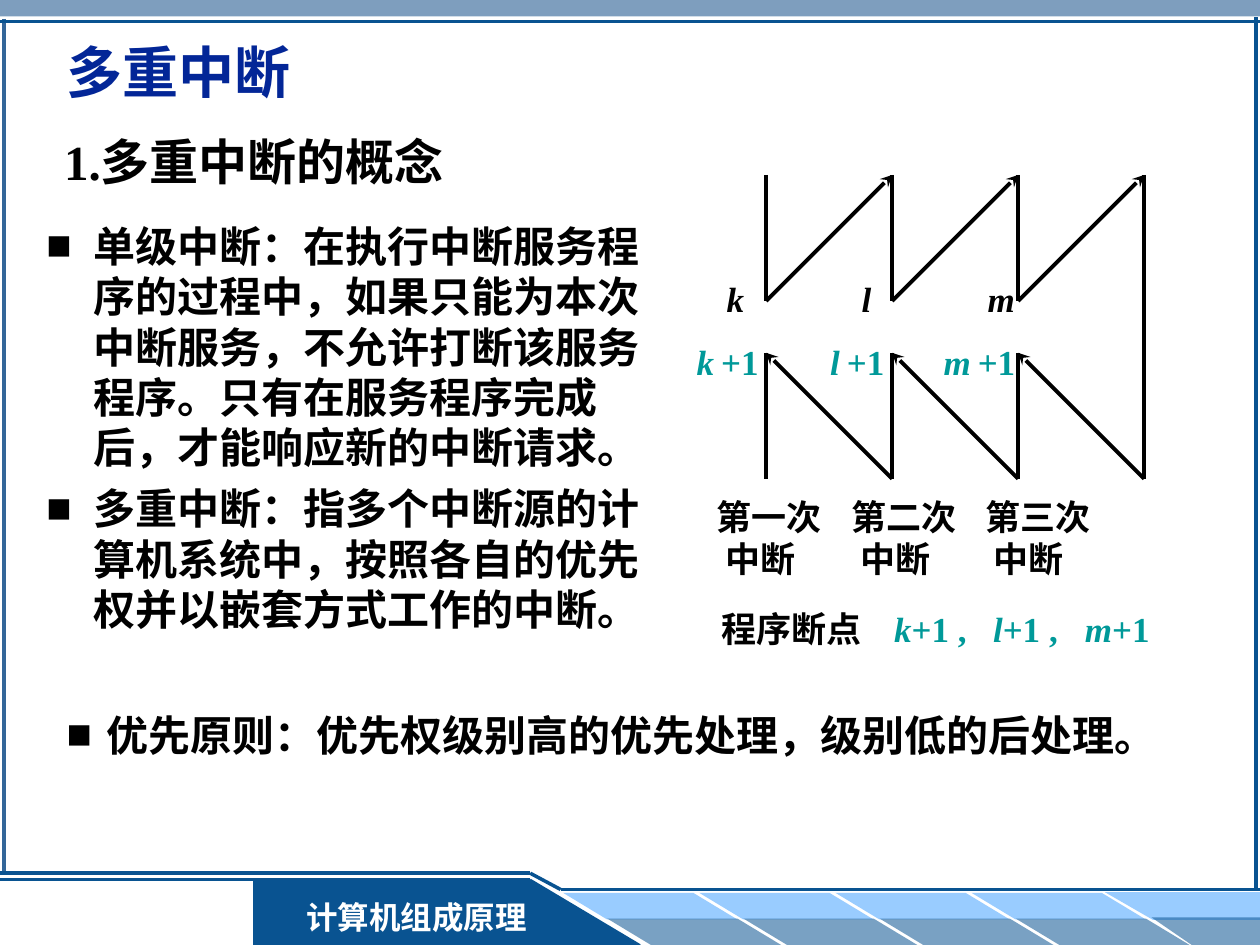
from lxml import etree
from pptx import Presentation
from pptx.dml.color import RGBColor
from pptx.enum.shapes import MSO_CONNECTOR, MSO_SHAPE
from pptx.enum.text import MSO_ANCHOR, PP_ALIGN
from pptx.oxml.ns import qn
from pptx.util import Pt

STRAIGHT, RECTANGLE = MSO_CONNECTOR.STRAIGHT, MSO_SHAPE.RECTANGLE
LEFT, CENTER = PP_ALIGN.LEFT, PP_ALIGN.CENTER
TOP, MIDDLE = MSO_ANCHOR.TOP, MSO_ANCHOR.MIDDLE
FONT = "Times New Roman"
COLORS = {"black": "000000", "white": "FFFFFF", "title": "032697", "teal": "009999",
          "navy": "095391", "steel": "336699", "sky": "99CCFF"}

# Content
TITLE = "多重中断"
HEADING = "1.多重中断的概念"
DEFINITIONS = [
    "单级中断：在执行中断服务程序的过程中，如果只能为本次中断服务，不允许打断该服务程序。"
    "只有在服务程序完成后，才能响应新的中断请求。",
    "多重中断：指多个中断源的计算机系统中，按照各自的优先权并以嵌套方式工作的中断。",
]
PRINCIPLE = "优先原则：优先权级别高的优先处理，级别低的后处理。"
FOOTER = "计算机组成原理"
BREAKPOINT_LABEL = "程序断点"
# letter, (left, width) of its label, (left, width) of its return label, caption left, caption
INTERRUPTS = [
    ("k", (408.2, 24.5), (391, 49.7), 402.5, "第一次"),
    ("l", (485.3, 19.4), (467.3, 45.4), 479.5, "第二次"),
    ("m", (557.3, 29.5), (532.1, 55.4), 555.8, "第三次"),
]
CAPTION_END = "中断"
BREAKPOINT_TABS = [98.5, 155, 207.5]

deck = Presentation()
deck.slide_width, deck.slide_height = Pt(720), Pt(540)
page = deck.slides.add_slide(deck.slide_layouts[5])


def rgb(name):
    return RGBColor.from_string(COLORS[name])


def paint(shape, color, opacity=None):
    shape.shadow.inherit = False
    shape.line.fill.background()
    shape.fill.solid()
    shape.fill.fore_color.rgb = rgb(color)
    if opacity:
        fill = shape.fill._xPr.find(qn("a:solidFill"))
        etree.SubElement(fill[0], qn("a:alpha"), val=str(opacity * 1000))


def polygon(points, color, opacity=None):
    corners = [(Pt(x), Pt(y)) for x, y in points]
    builder = page.shapes.build_freeform(*corners[0], scale=1.0)
    builder.add_line_segments(corners[1:], close=True)
    paint(builder.convert_to_shape(), color, opacity)


def line(x1, y1, x2, y2, color="black", width=2.25, arrow=False):
    connector = page.shapes.add_connector(STRAIGHT, Pt(x1), Pt(y1), Pt(x2), Pt(y2))
    connector.line.color.rgb = rgb(color)
    connector.line.width = Pt(width)
    if arrow:
        etree.SubElement(connector.line._get_or_add_ln(), qn("a:tailEnd"), type="stealth")
    etree.SubElement(connector._element.spPr, qn("a:effectLst"))


def style(span, size, color="black", italic=False):
    span.font.name, span.font.size, span.font.bold = FONT, Pt(size), True
    span.font.italic = italic
    span.font.color.rgb = rgb(color)


def add_span(para, text, size, color="black", italic=False):
    span = para.add_run()
    span.text = text
    style(span, size, color, italic)


def text_box(left, top, width, height, text="", size=20, color="black", italic=False,
             wrap=False, anchor=TOP):
    box = page.shapes.add_textbox(Pt(left), Pt(top), Pt(width), Pt(height))
    frame = box.text_frame
    frame.word_wrap, frame.vertical_anchor = wrap, anchor
    frame.text = text
    for para in frame.paragraphs:
        for span in para.runs:
            style(span, size, color, italic)
    return frame


def indent(para, left, first=0):
    properties = para._p.get_or_add_pPr()
    properties.set("marL", str(Pt(left)))
    properties.set("indent", str(Pt(first)))
    return properties


def add_bullet(para, hang):
    properties = indent(para, hang, -hang)
    properties.set("hangingPunct", "0")
    color = etree.SubElement(properties, qn("a:buClr"))
    etree.SubElement(color, qn("a:srgbClr"), val=COLORS["black"])
    etree.SubElement(properties, qn("a:buFont"), typeface=FONT)
    etree.SubElement(properties, qn("a:buChar"), char="■")


# Frame around the page
bar = page.shapes.add_shape(RECTANGLE, 0, 0, Pt(720), Pt(9.4))
paint(bar, "steel", 63)
line(2.2, 10.8, 2.2, 499, "steel", 2)
line(0, 12.2, 720, 12.2, "navy", 2)
line(717.8, 10, 717.8, 509, "navy", 2)

# Footer ribbon: two rows of slanted tiles, each row closed at the right edge
SLANT, TILE_WIDTH, TILE_HEIGHT, TILE_PITCH = 25, 99.4, 15.1, 77.8
for start, top, color, opacity in [(321.8, 510.2, "sky", None), (347, 524.9, "navy", 54)]:
    bottom = top + TILE_HEIGHT
    for index in range(4):
        left = start + index * TILE_PITCH
        right = left + TILE_WIDTH
        polygon([(left, top), (right - SLANT, top), (right, bottom), (left + SLANT, bottom)],
                color, opacity)
polygon([(631.4, 509.8), (720, 509.8), (720, 525.6), (658.8, 525.6)], "sky")
polygon([(658, 524.2), (720, 524.2), (720, 540), (681, 540)], "navy", 54)

# Footer banner and its outline
polygon([(144.7, 502.6), (303, 502.6), (365.3, 540), (144.7, 540)], "navy")
line(0, 502.6, 303, 502.6, "navy", 1.5)
line(303, 502.6, 365.8, 540, "navy", 1)
line(0, 499, 303, 499, "navy", 2)
line(303, 499, 320.4, 508.3, "navy", 2)
line(320.4, 508.3, 720, 508.3, "navy", 2)
footer = text_box(164.2, 509.8, 147.6, 28.8, FOOTER, 18, "white", wrap=True)
footer.paragraphs[0].alignment = CENTER

# Title and heading
title = page.shapes.title
title.left, title.top, title.width, title.height = Pt(31), Pt(15.1), Pt(584), Pt(51.1)
title.text_frame.text = TITLE
title.text_frame.vertical_anchor = MIDDLE
title.text_frame.paragraphs[0].alignment = LEFT
style(title.text_frame.paragraphs[0].runs[0], 32, "title")
heading = text_box(36.7, 77, 318.2, 30.2, HEADING, 28, anchor=MIDDLE)
heading.margin_left = heading.margin_right = heading.margin_top = heading.margin_bottom = 0

# Bulleted text
body = text_box(19.4, 122.4, 362.9, 256.3, "\n".join(DEFINITIONS), 24, wrap=True)
for index, para in enumerate(body.paragraphs):
    para.space_before = Pt(6 if index else 0)
    add_bullet(para, 27)
principle = text_box(31, 400.3, 646.6, 37.4, PRINCIPLE, 24, wrap=True)
principle.paragraphs[0].line_spacing = 1.05
add_bullet(principle.paragraphs[0], 22.5)

# Zigzag of nested interrupts: calls go up to the right, returns up to the left
FIRST_X, STEP = 437.8, 72
CALL_TOP, RETURN_TOP = 100, 201.6
for index in range(len(INTERRUPTS)):
    x = FIRST_X + index * STEP
    for top in (CALL_TOP, RETURN_TOP):
        line(x, top, x, top + STEP)
    line(x, CALL_TOP + STEP, x + STEP, CALL_TOP, arrow=True)
    line(x + STEP, RETURN_TOP + STEP, x, RETURN_TOP, arrow=True)
last_x = FIRST_X + len(INTERRUPTS) * STEP
line(last_x, CALL_TOP, last_x, RETURN_TOP + STEP)

# Labels of the zigzag
for letter, (left, width), (return_left, return_width), caption_left, caption in INTERRUPTS:
    text_box(left, 154.8, width, 31.7, letter, italic=True)
    para = text_box(return_left, 190.8, return_width, 31.7).paragraphs[0]
    add_span(para, letter, 20, "teal", True)
    add_span(para, " ", 16, "teal")
    add_span(para, "+1", 20, "teal")
    frame = text_box(caption_left, 279.8, 76, 55.4, f"{caption}\n{CAPTION_END}", wrap=True)
    indent(frame.paragraphs[1], 5)

# Program breakpoints, aligned by tab stops
para = text_box(405.4, 343.4, 314.6, 31.7, wrap=True).paragraphs[0]
tabs = etree.SubElement(para._p.get_or_add_pPr(), qn("a:tabLst"))
for position in BREAKPOINT_TABS:
    etree.SubElement(tabs, qn("a:tab"), pos=str(Pt(position)), algn="l")
add_span(para, BREAKPOINT_LABEL, 20)
for index, (letter, *_) in enumerate(INTERRUPTS):
    add_span(para, "\t" + letter, 20, "teal", True)
    add_span(para, "+1 ," if index < len(INTERRUPTS) - 1 else "+1", 20, "teal")

deck.save("out.pptx")
